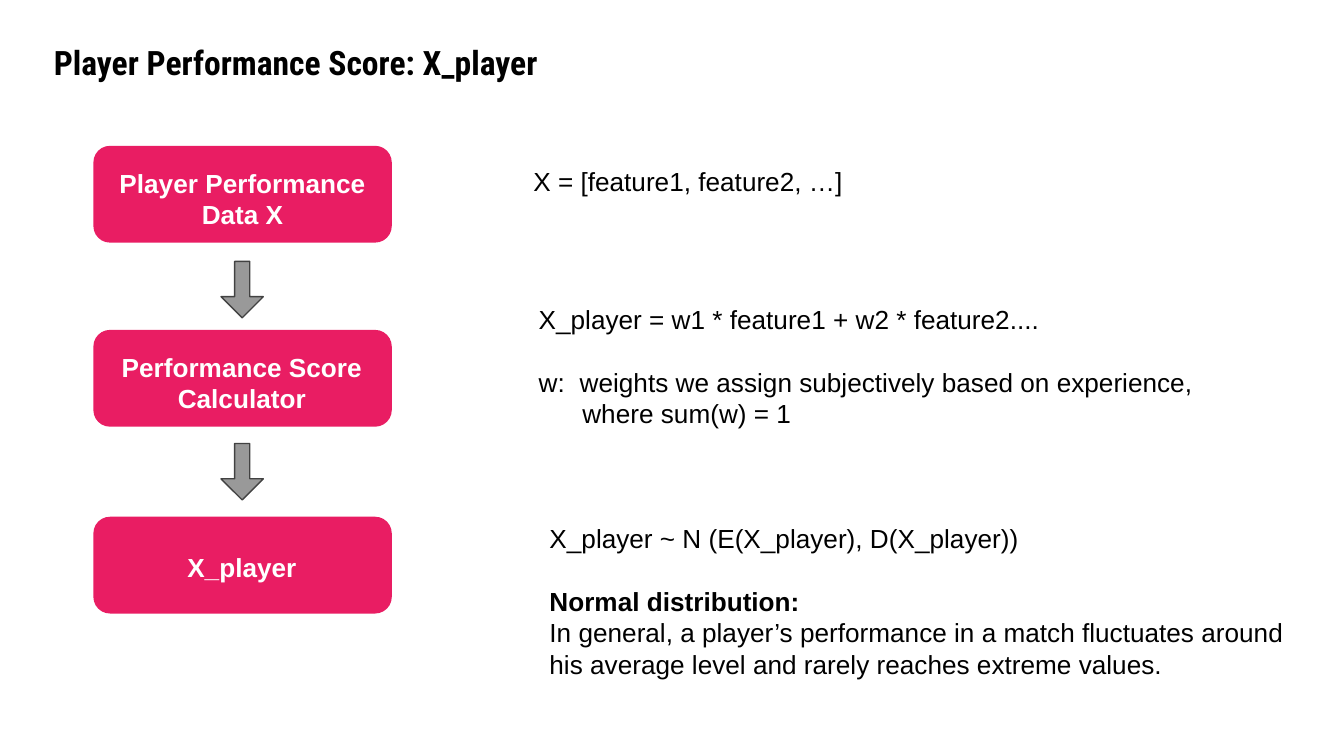
from dataclasses import dataclass

from pptx import Presentation
from pptx.dml.color import RGBColor
from pptx.enum.shapes import MSO_SHAPE
from pptx.enum.text import MSO_ANCHOR, MSO_AUTO_SIZE, PP_ALIGN
from pptx.slide import Slide
from pptx.text.text import TextFrame
from pptx.util import Emu, Pt

EMU_PER_PX = 4572
LEFT, CENTER = PP_ALIGN.LEFT, PP_ALIGN.CENTER
TOP_ANCHOR, NO_AUTOFIT = MSO_ANCHOR.TOP, MSO_AUTO_SIZE.NONE
STEP_SHAPE = MSO_SHAPE.FLOWCHART_ALTERNATE_PROCESS
ARROW_SHAPE = MSO_SHAPE.DOWN_ARROW
TITLE_ONLY_LAYOUT = 5

PINK, GRAY, DARK_GRAY = "E91D63", "999999", "424242"
WHITE, BLACK = "FFFFFF", "000000"
BODY_FONT, TITLE_FONT = "Arial", "Roboto Condensed"
BLANK_LINE = Pt(17)


@dataclass(frozen=True)
class Box:
    left: int
    top: int
    width: int
    height: int


@dataclass(frozen=True)
class Line:
    text: str
    bold: bool = False
    gap_before: bool = False
    indent: int = 0
    hanging: bool = False


@dataclass(frozen=True)
class TextBlock:
    box: Box
    lines: tuple[Line, ...]
    color: str = BLACK
    alignment: PP_ALIGN = LEFT


TITLE = TextBlock(
    Box(60, 42, 926, 84), (Line("Player Performance Score: X_player", bold=True),)
)

STEP_BOXES = [Box(140, top, 442, 142) for top in (218, 492, 770)]
ARROW_BOXES = [Box(329, top, 63, 84) for top in (389, 660)]

STEP_LABELS = [
    TextBlock(box, tuple(Line(text, bold=True) for text in texts), WHITE, CENTER)
    for box, texts in (
        (Box(121, 229, 480, 96), ("Player Performance", "Data X")),
        (Box(157, 503, 406, 110), ("Performance Score", "Calculator")),
        (Box(175, 800, 370, 110), ("X_player",)),
    )
]

EXPLANATIONS = [
    TextBlock(
        Box(725, 226, 598, 96),
        (Line("X = [feature1, feature2, …]"),),
        alignment=CENTER,
    ),
    TextBlock(
        Box(782, 431, 1100, 230),
        (
            Line("X_player = w1 * feature1 + w2 * feature2...."),
            Line(
                "w:\tweights we assign subjectively based on experience,",
                gap_before=True,
                indent=61,
                hanging=True,
            ),
            Line("where sum(w) = 1", indent=65),
        ),
    ),
    TextBlock(
        Box(798, 757, 1172, 322),
        (
            Line("X_player ~ N (E(X_player), D(X_player))"),
            Line("Normal distribution:", bold=True, gap_before=True),
            Line(
                "In general, a player’s performance in a match fluctuates around "
                "his average level and rarely reaches extreme values."
            ),
        ),
    ),
]


def px(value: int) -> Emu:
    return Emu(value * EMU_PER_PX)


def color(value: str) -> RGBColor:
    return RGBColor.from_string(value)


def set_attributes(target: object, values: dict) -> None:
    for name, value in values.items():
        setattr(target, name, value)


def position(box: Box) -> tuple[Emu, Emu, Emu, Emu]:
    return px(box.left), px(box.top), px(box.width), px(box.height)


def write_text(
    frame: TextFrame, block: TextBlock, font_name: str = BODY_FONT, size: int = 14
) -> None:
    margins = {f"margin_{side}": px(20) for side in ("left", "top", "right", "bottom")}
    set_attributes(
        frame,
        {
            "word_wrap": True,
            "auto_size": NO_AUTOFIT,
            "vertical_anchor": TOP_ANCHOR,
            **margins,
        },
    )
    for index, line in enumerate(block.lines):
        paragraph = frame.add_paragraph() if index else frame.paragraphs[0]
        paragraph.alignment = block.alignment
        if line.gap_before:
            paragraph.space_before = BLANK_LINE
        if line.indent:
            properties = paragraph._p.get_or_add_pPr()
            properties.set("marL", str(px(line.indent)))
            properties.set("indent", str(px(-line.indent if line.hanging else 0)))
        run = paragraph.add_run()
        run.text = line.text
        set_attributes(
            run.font, {"name": font_name, "size": Pt(size), "bold": line.bold}
        )
        run.font.color.rgb = color(block.color)


def add_title(slide: Slide, block: TextBlock) -> None:
    title = slide.shapes.title
    left, top, width, height = position(block.box)
    set_attributes(title, {"left": left, "top": top, "width": width, "height": height})
    write_text(title.text_frame, block, TITLE_FONT, 18)


def add_text(slide: Slide, block: TextBlock) -> None:
    text_box = slide.shapes.add_textbox(*position(block.box))
    write_text(text_box.text_frame, block)


def add_filled_shape(
    slide: Slide,
    kind: MSO_SHAPE,
    box: Box,
    fill: str,
    outline: str,
    adjustments: tuple[float, ...] = (),
) -> None:
    shape = slide.shapes.add_shape(kind, *position(box))
    shape.shadow.inherit = False
    shape.fill.solid()
    shape.fill.fore_color.rgb = color(fill)
    shape.line.color.rgb = color(outline)
    shape.line.width = Pt(0.75)
    for index, value in enumerate(adjustments):
        shape.adjustments[index] = value


def main() -> None:
    presentation = Presentation()
    set_attributes(presentation, {"slide_width": px(2000), "slide_height": px(1125)})
    slide = presentation.slides.add_slide(
        presentation.slide_layouts[TITLE_ONLY_LAYOUT]
    )
    add_title(slide, TITLE)
    for box in STEP_BOXES:
        add_filled_shape(slide, STEP_SHAPE, box, PINK, PINK)
    for box in ARROW_BOXES:
        add_filled_shape(slide, ARROW_SHAPE, box, GRAY, DARK_GRAY, (0.36, 0.5))
    for block in STEP_LABELS + EXPLANATIONS:
        add_text(slide, block)
    presentation.save("out.pptx")


if __name__ == "__main__":
    main()
